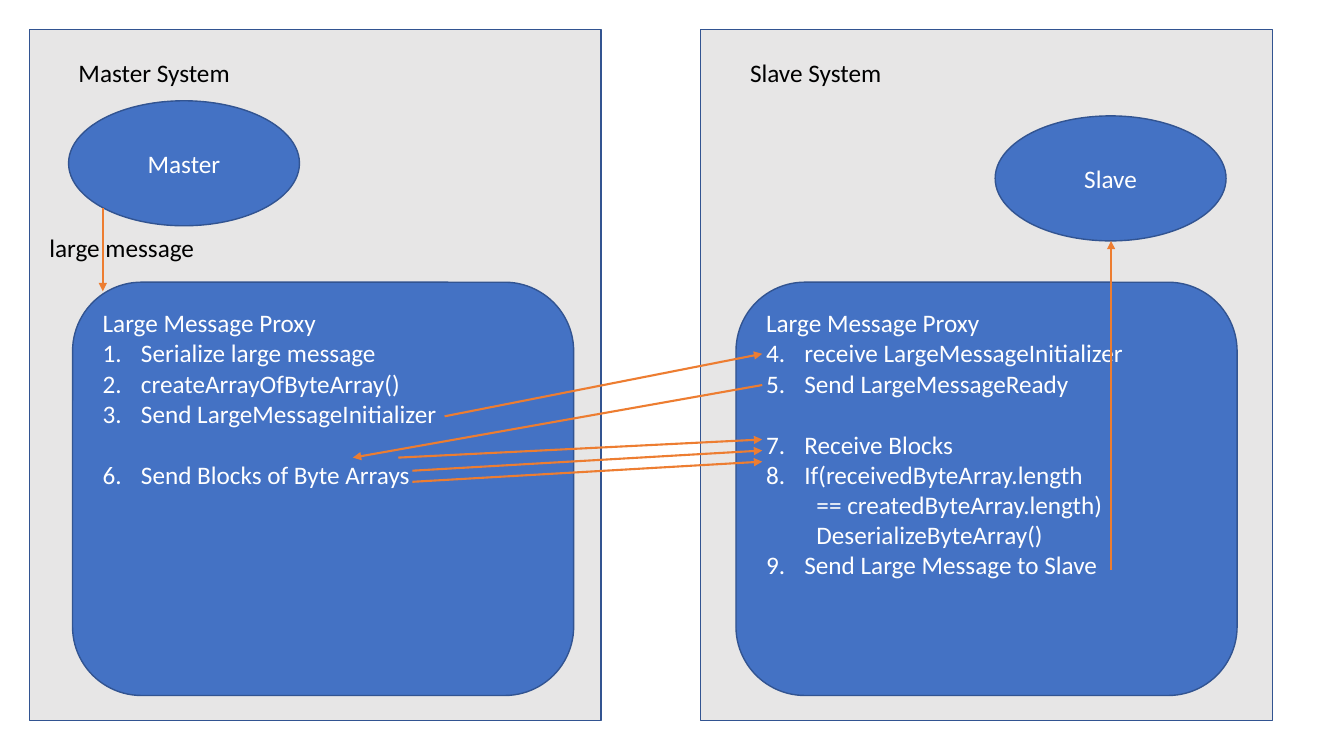
from lxml.etree import SubElement
from pptx import Presentation
from pptx.dml.color import RGBColor
from pptx.enum.shapes import MSO_CONNECTOR, MSO_SHAPE
from pptx.enum.text import MSO_ANCHOR, PP_ALIGN
from pptx.oxml.ns import qn
from pptx.util import Inches, Pt

BLUE, OUTLINE, GREY, ORANGE = "4472C4", "325491", "E7E6E6", "ED7D31"
WHITE, BLACK = "FFFFFF", "000000"
LINE_GAP = Pt(22)

MASTER_STEPS = [
    ("Serialize large message", 1, False),
    ("createArrayOfByteArray()", 1, False),
    ("Send LargeMessageInitializer", 1, False),
    ("Send Blocks of Byte Arrays", 6, True),
]
SLAVE_STEPS = [
    ("receive LargeMessageInitializer", 4, False),
    ("Send LargeMessageReady", 4, False),
    ("Receive Blocks", 7, True),
    ("If(receivedByteArray.length", 7, False),
    ("== createdByteArray.length)", None, False),
    ("DeserializeByteArray()", None, False),
    ("Send Large Message to Slave", 7, False),
]
MESSAGES = [
    (4.41, 4.13, 7.56, 3.51),
    (7.56, 3.82, 3.5, 4.54),
    (3.95, 4.54, 7.56, 4.36),
    (4.09, 4.67, 7.56, 4.47),
    (4.09, 4.78, 7.56, 4.58),
]


def color(value):
    return RGBColor.from_string(value)


def write(para, text, ink):
    para.text = text
    for span in para.runs:
        span.font.name = "Calibri"
        span.font.size = Pt(18)
        span.font.color.rgb = color(ink)


def add_box(page, kind, left, top, width, height, fill):
    box = page.shapes.add_shape(
        kind, Inches(left), Inches(top), Inches(width), Inches(height))
    box.shadow.inherit = False
    box.fill.solid()
    box.fill.fore_color.rgb = color(fill)
    box.line.color.rgb = color(OUTLINE)
    box.line.width = Pt(1)
    return box


def add_label(page, left, top, width, text):
    box = page.shapes.add_textbox(
        Inches(left), Inches(top), Inches(width), Inches(0.4))
    box.text_frame.word_wrap = True
    write(box.text_frame.paragraphs[0], text, BLACK)


def add_arrow(page, start_x, start_y, end_x, end_y):
    arrow = page.shapes.add_connector(
        MSO_CONNECTOR.STRAIGHT,
        Inches(start_x), Inches(start_y), Inches(end_x), Inches(end_y))
    arrow.line.color.rgb = color(ORANGE)
    arrow.line.width = Pt(1.5)
    SubElement(arrow.line._get_or_add_ln(), qn("a:tailEnd"), type="triangle")
    SubElement(arrow._element.spPr, qn("a:effectLst"))


def add_actor(page, left, top, name):
    box = add_box(page, MSO_SHAPE.OVAL, left, top, 2.29, 1.24, BLUE)
    box.text_frame.vertical_anchor = MSO_ANCHOR.MIDDLE
    para = box.text_frame.paragraphs[0]
    write(para, name, WHITE)
    para.alignment = PP_ALIGN.CENTER


def add_step(frame, text, start, after_gap):
    para = frame.add_paragraph()
    write(para, text, WHITE)
    para.alignment = PP_ALIGN.LEFT
    if after_gap:
        para.space_before = LINE_GAP
    properties = para._p.get_or_add_pPr()
    if start is None:
        para.level = 1
        properties.set("marL", str(Inches(0.5)))
        properties.set("indent", "0")
        SubElement(properties, qn("a:buNone"))
    else:
        properties.set("marL", str(Inches(0.38)))
        properties.set("indent", str(-Inches(0.38)))
        SubElement(properties, qn("a:buFont"), typeface="+mj-lt")
        SubElement(properties, qn("a:buAutoNum"),
                   type="arabicPeriod", startAt=str(start))


def add_proxy(page, left, top, steps):
    box = add_box(page, MSO_SHAPE.ROUNDED_RECTANGLE, left, top, 4.97, 4.1, BLUE)
    frame = box.text_frame
    frame.vertical_anchor = MSO_ANCHOR.TOP
    heading = frame.paragraphs[0]
    write(heading, "Large Message Proxy", WHITE)
    heading.alignment = PP_ALIGN.LEFT
    for text, start, after_gap in steps:
        add_step(frame, text, start, after_gap)


def add_system(page, left, top, name, actor_at, proxy_left, steps):
    add_box(page, MSO_SHAPE.RECTANGLE, left, top, 5.67, 6.86, GREY)
    add_label(page, left + 0.39, top + 0.23, 3.41, f"{name} System")
    add_actor(page, left + actor_at[0], top + actor_at[1], name)
    add_proxy(page, left + proxy_left, top + 2.51, steps)


def add_master_system(page, left, top):
    add_system(page, left, top, "Master", (0.39, 0.71), 0.43, MASTER_STEPS)
    add_arrow(page, left + 0.73, top + 1.77, left + 0.73, top + 2.6)
    add_label(page, left + 0.1, top + 1.97, 2.29, "large message")


def add_slave_system(page, left, top):
    add_system(page, left, top, "Slave", (2.92, 0.86), 0.35, SLAVE_STEPS)
    add_arrow(page, left + 4.07, top + 5.36, left + 4.07, top + 2.1)


def main():
    deck = Presentation()
    deck.slide_width = Inches(13.33)
    deck.slide_height = Inches(7.5)
    page = deck.slides.add_slide(deck.slide_layouts[6])
    add_master_system(page, 0.29, 0.29)
    add_slave_system(page, 6.95, 0.29)
    for message in MESSAGES:
        add_arrow(page, *message)
    deck.save("out.pptx")


if __name__ == "__main__":
    main()
